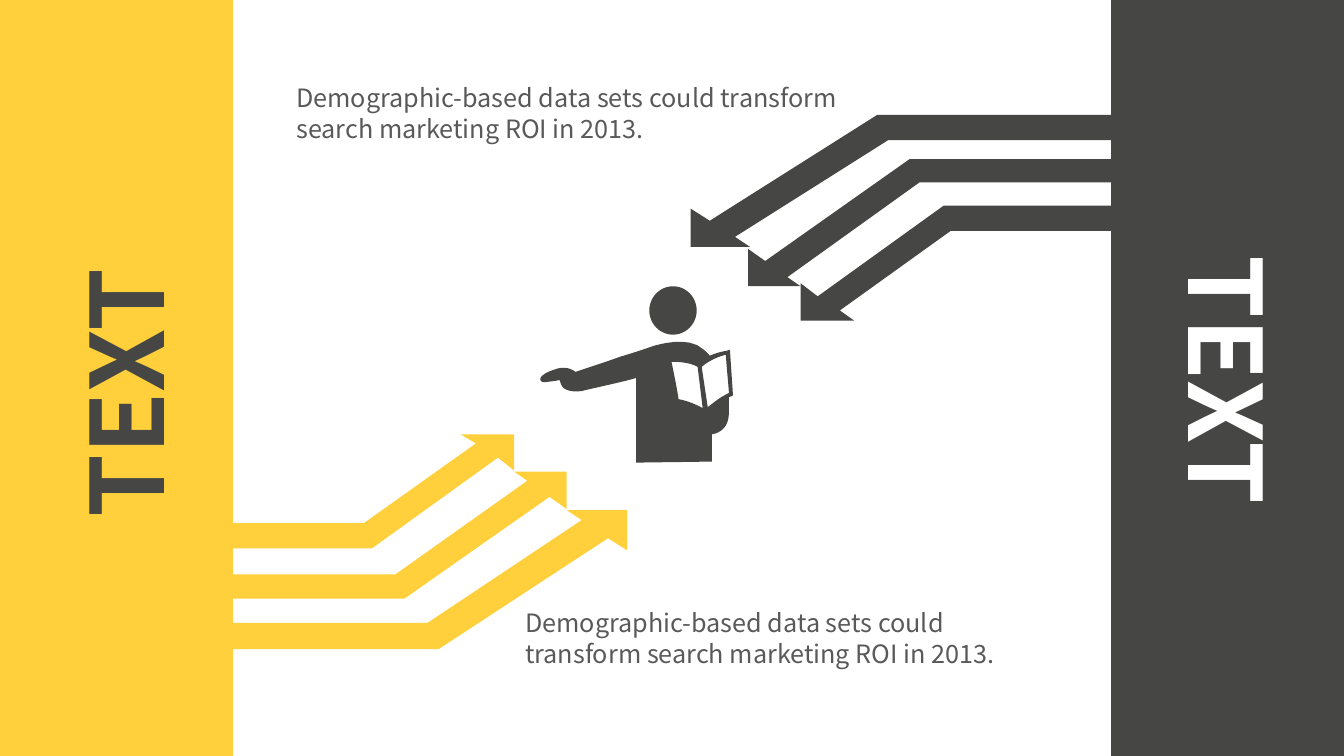
import pptx
import pptx.dml.color
import pptx.enum.shapes
import pptx.enum.text
import pptx.util

Inches = pptx.util.Inches
Pt = pptx.util.Pt
SHAPE = pptx.enum.shapes.MSO_SHAPE

FONT = "Noto Sans CJK SC"
COLORS = {"yellow": "FFD03B", "charcoal": "464645", "white": "FFFFFF", "body": "595959"}
MESSAGE = "Demographic-based data sets could transform search marketing ROI in 2013."
PANEL_WIDTH = 2.31
CURVE_STEPS = 8

# Outer and inner edge heights, bend positions, necks, tip, and the barb ends (x, y)
YELLOW_ARROWS = [
    ((5.19, 5.44), (3.61, 3.69), (4.72, 4.40), (4.94, 4.54), (5.10, 4.31), (4.57, 4.67)),
    ((5.70, 5.94), (3.92, 4.01), (5.23, 4.77), (5.45, 4.93), (5.62, 4.68), (5.10, 5.05)),
    ((6.18, 6.44), (4.24, 4.35), (5.77, 5.16), (6.03, 5.34), (6.22, 5.06), (5.62, 5.46)),
]
CHARCOAL_ARROWS = [
    ((2.29, 2.04), (9.43, 9.36), (8.33, 3.08), (8.11, 2.94), (7.94, 3.18), (8.47, 2.81)),
    ((1.81, 1.58), (9.12, 9.02), (7.81, 2.75), (7.59, 2.59), (7.42, 2.84), (7.94, 2.47)),
    ((1.39, 1.14), (8.81, 8.70), (7.29, 2.35), (7.04, 2.19), (6.85, 2.45), (7.44, 2.07)),
]

# Each contour is a start point, then lines (x, y) or Bezier curves (x1, y1, x2, y2, x, y)
BODY = [
    (7.27, 3.92), (7.24, 3.47), (7.21, 3.48),
    (7.21, 3.48, 7.13, 3.49, 7.04, 3.53),
    (7.01, 3.49, 6.99, 3.48, 6.98, 3.47),
    (6.83, 3.32, 6.50, 3.43, 6.49, 3.43),
    (6.49, 3.43, 6.32, 3.49, 6.15, 3.54),
    (5.96, 3.61, 5.76, 3.67, 5.71, 3.69),
    (5.68, 3.67, 5.61, 3.62, 5.49, 3.67),
    (5.40, 3.70, 5.35, 3.74, 5.36, 3.77),
    (5.37, 3.80, 5.41, 3.79, 5.42, 3.79),
    (5.42, 3.79, 5.52, 3.78, 5.55, 3.77),
    (5.56, 3.79, 5.56, 3.82, 5.59, 3.85),
    (5.63, 3.88, 5.69, 3.89, 5.77, 3.88),
    (5.89, 3.85, 6.22, 3.78, 6.31, 3.75),
    (6.31, 4.59), (7.06, 4.58), (7.06, 4.31),
    (7.12, 4.30, 7.17, 4.27, 7.20, 4.22),
    (7.23, 4.17, 7.23, 4.11, 7.23, 4.05),
    (7.23, 4.02, 7.23, 3.98, 7.23, 3.94),
    (7.24, 3.94, 7.25, 3.93, 7.26, 3.93),
]
LEFT_PAGE = [
    (6.73, 3.96),
    (6.73, 3.93, 6.67, 3.63, 6.66, 3.59),
    (6.71, 3.59, 6.83, 3.59, 6.92, 3.64),
    (6.97, 4.05),
    (6.92, 4.02, 6.83, 3.98, 6.73, 3.96),
]
RIGHT_PAGE = [
    (7.02, 4.04), (6.96, 3.64),
    (7.04, 3.57, 7.15, 3.53, 7.20, 3.52),
    (7.20, 3.57, 7.23, 3.87, 7.23, 3.90),
    (7.14, 3.94, 7.06, 4.01, 7.02, 4.04),
]


def rgb(color):
    return pptx.dml.color.RGBColor.from_string(COLORS[color])


def paint(shape, color):
    shape.shadow.inherit = False
    shape.fill.solid()
    shape.fill.fore_color.rgb = rgb(color)
    shape.line.fill.background()


def flatten(contour):
    """Turn the curves of a contour into short straight steps."""
    points = [contour[0]]
    for segment in contour[1:]:
        if len(segment) == 2:
            points.append(segment)
            continue
        x0, y0 = points[-1]
        x1, y1, x2, y2, x3, y3 = segment
        for step in range(1, CURVE_STEPS + 1):
            t = step / CURVE_STEPS
            a, b, c, d = (1 - t) ** 3, 3 * t * (1 - t) ** 2, 3 * t * t * (1 - t), t ** 3
            points.append((a * x0 + b * x1 + c * x2 + d * x3,
                           a * y0 + b * y1 + c * y2 + d * y3))
    return points


def add_outline(slide, contours, color):
    """Draw closed contours as one shape; inner contours become holes."""
    outlines = [[(Inches(x), Inches(y)) for x, y in contour] for contour in contours]
    builder = slide.shapes.build_freeform(*outlines[0][0])
    for index, outline in enumerate(outlines):
        if index:
            builder.move_to(*outline[0])
        builder.add_line_segments(outline[1:], close=True)
    paint(builder.convert_to_shape(), color)


def add_bent_arrow(slide, tail_x, arrow, color):
    edges, bends, outer_neck, inner_neck, tip, barbs = arrow
    outline = [
        (tail_x, edges[0]), (bends[0], edges[0]), outer_neck, (barbs[0], tip[1]), tip,
        (tip[0], barbs[1]), inner_neck, (bends[1], edges[1]), (tail_x, edges[1]),
    ]
    add_outline(slide, [outline], color)


def add_preset(slide, preset, left, top, width, height, color):
    shape = slide.shapes.add_shape(
        preset, Inches(left), Inches(top), Inches(width), Inches(height))
    paint(shape, color)


def add_text(slide, text, left, top, width, height, size, color, bold=False, wrap=True):
    box = slide.shapes.add_textbox(Inches(left), Inches(top), Inches(width), Inches(height))
    frame = box.text_frame
    frame.word_wrap = wrap
    frame.auto_size = pptx.enum.text.MSO_AUTO_SIZE.SHAPE_TO_FIT_TEXT
    paragraph = frame.paragraphs[0]
    paragraph.text = text
    paragraph.font.name = FONT
    paragraph.font.size = Pt(size)
    paragraph.font.bold = bold
    paragraph.font.color.rgb = rgb(color)
    return box


def add_side_panel(slide, panel_left, title_left, rotation, fill, title_color):
    add_preset(slide, SHAPE.RECTANGLE, panel_left, 0, PANEL_WIDTH, 7.5, fill)
    title = add_text(slide, "TEXT", title_left, 3.18, 2.79, 1.31, 72, title_color,
                     bold=True, wrap=False)
    title.rotation = rotation


def add_reader(slide):
    add_preset(slide, SHAPE.OVAL, 6.44, 2.84, 0.47, 0.48, "charcoal")
    add_outline(slide, [flatten(part) for part in (BODY, LEFT_PAGE, RIGHT_PAGE)], "charcoal")


def main():
    presentation = pptx.Presentation()
    presentation.slide_width = Inches(13.33)
    presentation.slide_height = Inches(7.5)
    slide = presentation.slides.add_slide(presentation.slide_layouts[6])

    for arrow in YELLOW_ARROWS:
        add_bent_arrow(slide, 2.03, arrow, "yellow")
    for arrow in CHARCOAL_ARROWS:
        add_bent_arrow(slide, 11.02, arrow, "charcoal")

    add_side_panel(slide, 0, -0.16, 270, "yellow", "charcoal")
    add_side_panel(slide, 13.33 - PANEL_WIDTH, 10.79, 90, "charcoal", "white")

    add_text(slide, MESSAGE, 5.11, 5.98, 5.39, 0.71, 18, "body")
    add_text(slide, MESSAGE, 2.84, 0.77, 5.61, 0.71, 18, "body")
    add_reader(slide)

    presentation.save("out.pptx")


if __name__ == "__main__":
    main()
